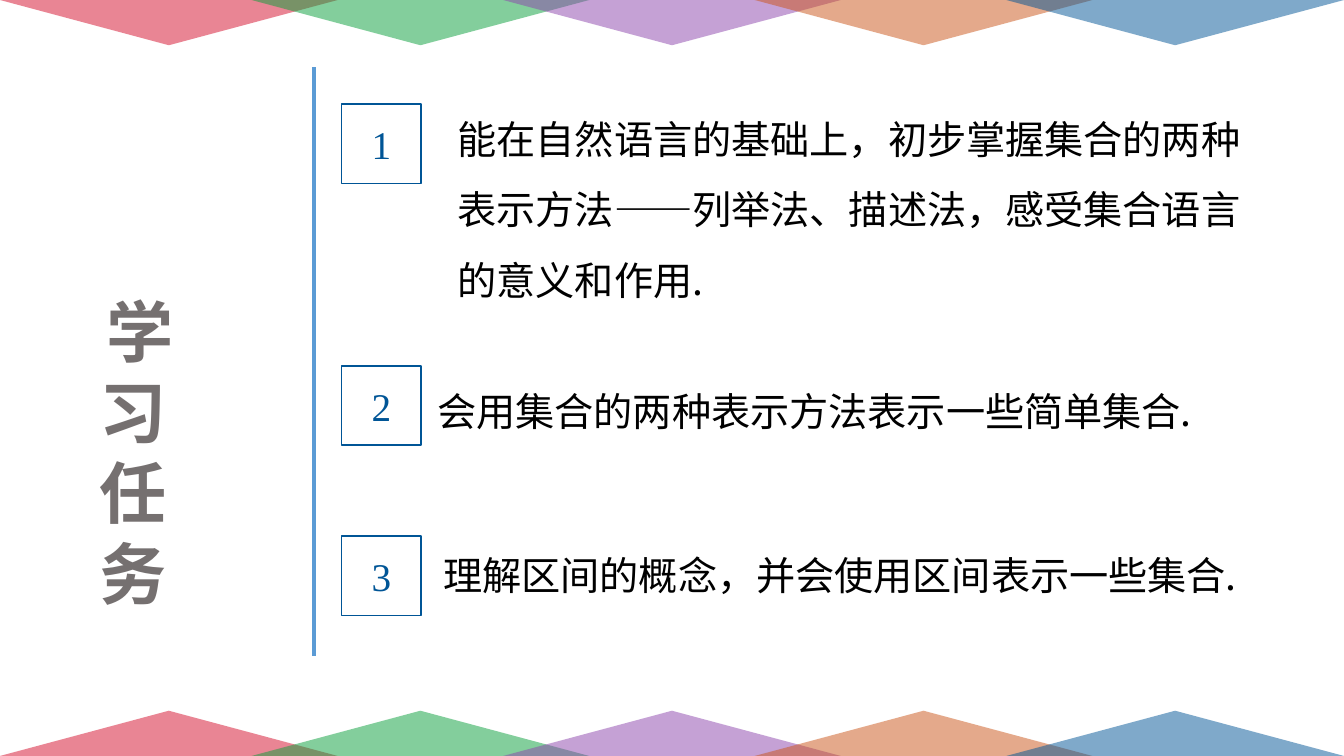
"""Build the learning-tasks slide with its coloured triangle borders."""
from dataclasses import dataclass

from lxml.etree import SubElement
from pptx import Presentation
from pptx.dml.color import RGBColor
from pptx.enum.shapes import MSO_CONNECTOR, MSO_SHAPE
from pptx.enum.text import MSO_ANCHOR, MSO_AUTO_SIZE, PP_ALIGN
from pptx.oxml.ns import qn
from pptx.shapes.base import BaseShape
from pptx.slide import Slide
from pptx.text.text import TextFrame
from pptx.util import Cm, Pt


@dataclass(frozen=True)
class Theme:
    """Colours, fonts and type sizes."""
    band: tuple[str, ...] = ("D50D2A", "099F3B", "8D44AD", "CB5518", "005596")
    band_alpha: int = 50
    title: str = "757070"
    body: str = "000000"
    number: str = "005596"
    divider: str = "5B9BD5"
    title_font: str = "Calibri"
    body_font: str = "Noto Sans CJK SC"
    number_font: str = "Times New Roman"
    title_size: int = 48
    body_size: int = 28


@dataclass(frozen=True)
class Task:
    """A numbered task; lengths are in centimetres."""
    number_top: float
    left: float
    top: float
    width: float
    height: float
    lines: tuple[str, ...]
    wrap: bool = True
    align: PP_ALIGN = PP_ALIGN.JUSTIFY


THEME = Theme()
SLIDE_WIDTH, SLIDE_HEIGHT = 33.87, 19.05
TRIANGLE_WIDTH, TRIANGLE_HEIGHT, TRIANGLE_STEP = 8.51, 1.14, 6.34
NUMBER_LEFT, NUMBER_SIDE = 8.61, 2.0
DIVIDER_LEFT, DIVIDER_TOP, DIVIDER_BOTTOM = 7.92, 1.7, 16.54
TASKS = (
    Task(2.62, 11.28, 2.18, 20.47, 5.64,
         ("能在自然语言的基础上，初步掌握集合的两种",
          "表示方法——列举法、描述法，感受集合语言",
          "的意义和作用."), wrap=False, align=PP_ALIGN.LEFT),
    Task(9.22, 10.77, 9.04, 30.35, 2.06,
         ("会用集合的两种表示方法表示一些简单集合.",)),
    Task(13.51, 10.92, 13.18, 30.35, 2.06,
         ("理解区间的概念，并会使用区间表示一些集合.",)),
)


def write_lines(frame: TextFrame, lines: tuple[str, ...], *, font: str, size: int,
                color: str, bold: bool = False, align: PP_ALIGN = PP_ALIGN.CENTER,
                spacing: float = 1.0) -> None:
    """Write one formatted paragraph for each line."""
    for index, line in enumerate(lines):
        para = frame.add_paragraph() if index else frame.paragraphs[0]
        para.alignment = align
        para.line_spacing = spacing
        span = para.add_run()
        span.text = line
        span.font.name = font
        span.font.size = Pt(size)
        span.font.bold = bold
        span.font.color.rgb = RGBColor.from_string(color)
        east_asian = SubElement(span.font._element, qn("a:ea"))
        east_asian.set("typeface", THEME.body_font)


def add_frame(page: Slide, left: float, top: float, width: float, height: float,
              wrap: bool = True) -> TextFrame:
    """Add a text box that grows with its text."""
    box = page.shapes.add_textbox(Cm(left), Cm(top), Cm(width), Cm(height))
    frame = box.text_frame
    frame.word_wrap = wrap
    frame.auto_size = MSO_AUTO_SIZE.SHAPE_TO_FIT_TEXT
    return frame


def add_plain_shape(page: Slide, kind: MSO_SHAPE, left: float, top: float,
                    width: float, height: float) -> BaseShape:
    """Add a preset shape without a shadow."""
    shape = page.shapes.add_shape(kind, Cm(left), Cm(top), Cm(width), Cm(height))
    shape.shadow.inherit = False
    return shape


def add_triangle_band(page: Slide, top: float, rotation: int) -> None:
    """Draw a row of overlapping translucent triangles."""
    for index, color in enumerate(THEME.band):
        triangle = add_plain_shape(page, MSO_SHAPE.ISOSCELES_TRIANGLE,
                                   index * TRIANGLE_STEP, top,
                                   TRIANGLE_WIDTH, TRIANGLE_HEIGHT)
        triangle.rotation = rotation
        triangle.line.fill.background()
        triangle.fill.solid()
        triangle.fill.fore_color.rgb = RGBColor.from_string(color)
        tint = triangle.fill._xPr.find(".//" + qn("a:srgbClr"))
        SubElement(tint, qn("a:alpha")).set("val", str(THEME.band_alpha * 1000))


def add_divider(page: Slide) -> None:
    """Draw the vertical rule beside the title."""
    divider = page.shapes.add_connector(
        MSO_CONNECTOR.STRAIGHT, Cm(DIVIDER_LEFT), Cm(DIVIDER_TOP),
        Cm(DIVIDER_LEFT), Cm(DIVIDER_BOTTOM))
    divider.line.color.rgb = RGBColor.from_string(THEME.divider)
    divider.line.width = Pt(3)
    SubElement(divider._element.spPr, qn("a:effectLst"))


def add_number(page: Slide, number: int, top: float) -> None:
    """Draw a task number in an outlined square."""
    square = add_plain_shape(page, MSO_SHAPE.RECTANGLE, NUMBER_LEFT, top,
                             NUMBER_SIDE, NUMBER_SIDE)
    square.fill.background()
    square.line.color.rgb = RGBColor.from_string(THEME.number)
    square.line.width = Pt(1)
    square.text_frame.vertical_anchor = MSO_ANCHOR.MIDDLE
    write_lines(square.text_frame, (str(number),), font=THEME.number_font,
                size=THEME.body_size, color=THEME.number)


def add_task_text(page: Slide, task: Task) -> None:
    """Write the wording of a task."""
    frame = add_frame(page, task.left, task.top, task.width, task.height, task.wrap)
    write_lines(frame, task.lines, font=THEME.body_font, size=THEME.body_size,
                color=THEME.body, align=task.align, spacing=1.5)


def main() -> None:
    """Build and save the deck."""
    deck = Presentation()
    deck.slide_width, deck.slide_height = Cm(SLIDE_WIDTH), Cm(SLIDE_HEIGHT)
    page = deck.slides.add_slide(deck.slide_layouts[6])
    add_triangle_band(page, SLIDE_HEIGHT - TRIANGLE_HEIGHT, 0)
    add_triangle_band(page, 0, 180)
    title = add_frame(page, 1.6, 7.19, 3.5, 8.46)
    write_lines(title, (" 学习任务",), font=THEME.title_font, size=THEME.title_size,
                color=THEME.title, bold=True)
    add_divider(page)
    for number, task in enumerate(TASKS, start=1):
        add_number(page, number, task.number_top)
        add_task_text(page, task)
    deck.save("out.pptx")


if __name__ == "__main__":
    main()
